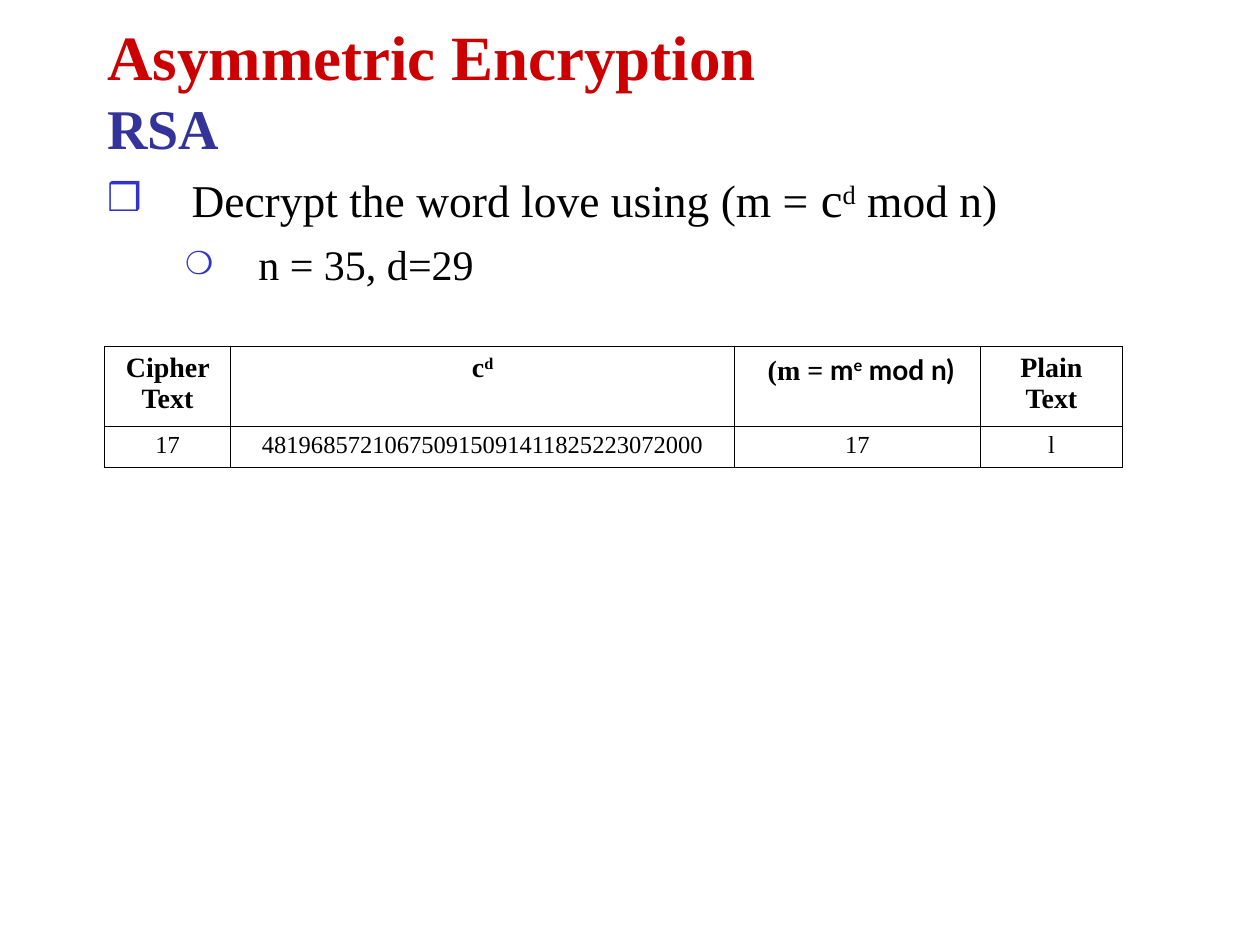
import pptx
import pptx.util
import pptx.dml.color
import pptx.enum.text
import pptx.oxml
import pptx.oxml.ns
import lxml.etree

Inches = pptx.util.Inches
Pt = pptx.util.Pt
ANCHOR = pptx.enum.text.MSO_ANCHOR
ALIGN = pptx.enum.text.PP_ALIGN

COLORS = {"black": "000000", "red": "CC0000", "navy": "333399", "blue": "3333CC"}
SERIF = "Times New Roman"
SANS = "Lato"
THIN, THICK = 0.45, 1.08


def add_tag(parent, name, **attrs):
    tag = lxml.etree.SubElement(parent, pptx.oxml.ns.qn("a:" + name))
    for key, value in attrs.items():
        tag.set(key, str(value))
    return tag


class Deck:
    def __init__(self):
        self.prs = pptx.Presentation()
        self.prs.slide_width = Inches(10)
        self.prs.slide_height = Inches(7.5)
        self.slide = self.prs.slides.add_slide(self.prs.slide_layouts[1])

    def style(self, font, size=None, color=None, bold=None, name=None):
        if size:
            font.size = Pt(size)
        if color:
            font.color.rgb = pptx.dml.color.RGBColor.from_string(COLORS[color])
        if bold is not None:
            font.bold = bold
        if name:
            font.name = name

    def place(self, shape, left, top, width, height):
        shape.left, shape.top = Inches(left), Inches(top)
        shape.width, shape.height = Inches(width), Inches(height)
        shape.text_frame.word_wrap = True
        shape.text_frame.auto_size = pptx.enum.text.MSO_AUTO_SIZE.NONE
        return shape.text_frame

    def add_runs(self, para, parts):
        for text, look in parts:
            run = para.add_run()
            run.text = text
            look = dict(look)
            raised = look.pop("raised", False)
            self.style(run.font, **look)
            if raised:
                run.font._element.set("baseline", "30000")

    def title(self, head, sub):
        frame = self.place(self.slide.shapes.title, 0.75, 0.08, 8.5, 1.25)
        frame.vertical_anchor = ANCHOR.MIDDLE
        para = frame.paragraphs[0]
        para.alignment = ALIGN.LEFT
        self.style(para.font, bold=True, name=SERIF)
        self.add_runs(para, [(head, {"size": 36, "color": "red"})])
        para.add_line_break()
        self.add_runs(para, [(sub, {"size": 32, "color": "navy"})])

    def body(self, items):
        frame = self.place(self.slide.placeholders[1], 0.75, 1.25, 9.5, 3.42)
        frame.margin_top = Inches(0.09)
        for i, (level, indent, hang, mark, scale, size, parts) in enumerate(items):
            para = frame.add_paragraph() if i else frame.paragraphs[0]
            para.level = level
            para.space_before = Pt(6 if i else 0)
            props = para._p.get_or_add_pPr()
            props.set("marL", str(Inches(indent)))
            props.set("indent", str(-Inches(hang)))
            add_tag(add_tag(props, "buClr"), "srgbClr", val=COLORS["blue"])
            add_tag(props, "buSzPct", val=scale * 1000)
            add_tag(props, "buChar", char=mark)
            self.style(para.font, size, "black", name=SERIF)
            self.add_runs(para, parts)

    def border(self, cell, sides):
        props = cell._tc.get_or_add_tcPr()
        for i, (side, width) in enumerate(sides.items()):
            line = pptx.oxml.parse_xml(
                f'<a:{side} {pptx.oxml.ns.nsdecls("a")} w="{Pt(width)}"/>')
            add_tag(add_tag(line, "solidFill"), "srgbClr", val=COLORS["black"])
            props.insert(i, line)

    def table(self, left, top, widths, heights, rows):
        last = len(widths) - 1
        frame = self.slide.shapes.add_table(
            len(rows), len(widths), Inches(left), Inches(top),
            Inches(sum(widths)), Inches(sum(heights)))
        grid = frame.table
        grid.first_row = grid.horz_banding = False
        for col, width in zip(grid.columns, widths):
            col.width = Inches(width)
        for r, (height, row) in enumerate(zip(heights, rows)):
            grid.rows[r].height = Inches(height)
            for c, parts in enumerate(row):
                cell = grid.cell(r, c)
                cell.fill.background()
                self.border(cell, {
                    "lnL": THIN if c else THICK,
                    "lnR": THICK if c == last else THIN,
                    "lnT": THIN if r else THICK,
                    "lnB": THIN})
                para = cell.text_frame.paragraphs[0]
                para.alignment = ALIGN.CENTER
                self.style(para.font, 14 if r else 16, "black", r == 0, SERIF)
                self.add_runs(para, parts)


def main():
    deck = Deck()
    deck.title("Asymmetric Encryption", "RSA")
    deck.body([
        (0, 0.67, 0.67, "❒", 85, 26, [
            ("Decrypt the word love using (m = ", {}), ("c", {"size": 28}),
            ("d", {"raised": True}), (" mod n)", {})]),
        (1, 1.2, 0.58, "❍", 75, 24, [("n = 35, d=29", {})]),
    ])
    sans = {"name": SANS}
    heads = [
        [("Cipher Text", {})],
        [("c", {}), ("d", {"raised": True})],
        [(" (m = ", {}), ("m", sans), ("e", {"name": SANS, "raised": True}),
         (" mod n)", sans)],
        [("Plain Text", {})],
    ]
    values = ["17", "481968572106750915091411825223072000", "17", "l"]
    deck.table(0.83, 2.75, [1, 4, 1.95, 1.13], [0.63, 0.33],
               [heads, [[(value, {})] for value in values]])
    deck.prs.save("out.pptx")


if __name__ == "__main__":
    main()
